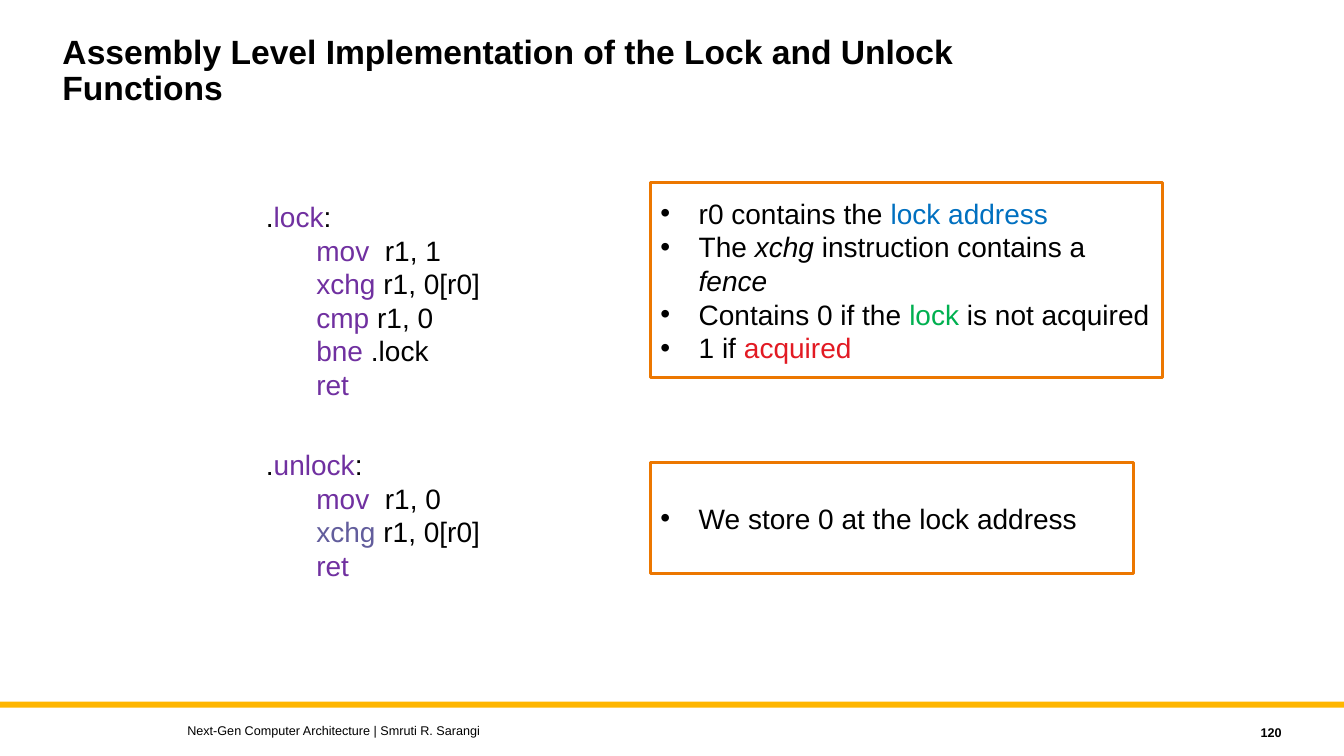
from pptx import Presentation
from pptx import util as u
from pptx.dml.color import RGBColor
from pptx.enum import shapes, text
from lxml import etree

theme = {
    "font": "Arial", "head": 24, "body": 20, "foot": 9, "edge": 2.25,
    "ink": "000000", "em": "000000", "paper": "FFFFFF", "bar": "FFB600",
    "frame": "EC7700", "code": "7030A0", "swap": "625D9C",
    "blue": "0070C0", "green": "00B050", "red": "E21A23",
}

deck = Presentation()
deck.slide_width, deck.slide_height = u.Inches(13.33), u.Inches(7.5)
slide = deck.slides.add_slide(deck.slide_layouts[5])
items = slide.shapes


def area(left, top, width, height):
    across, down = deck.slide_width / 100, deck.slide_height / 100
    return [int(n) for n in (left * across, top * down, width * across, height * down)]


def write(frame, lines, size, bold=False, bullet=False):
    frame.word_wrap = True
    frame.auto_size = text.MSO_AUTO_SIZE.NONE
    for row, line in enumerate(lines):
        para = frame.add_paragraph() if row else frame.paragraphs[0]
        para.alignment = text.PP_ALIGN.LEFT
        if bullet:
            props = para._p.get_or_add_pPr()
            props.set("marL", str(u.Inches(0.38)))
            props.set("indent", str(u.Inches(-0.38)))
            space = props.nsmap["a"]
            etree.SubElement(props, f"{{{space}}}buFont", typeface=theme["font"])
            etree.SubElement(props, f"{{{space}}}buChar", char="•")
        for words, tone in line:
            run = para.add_run()
            run.text = words
            run.font.name = theme["font"]
            run.font.size = u.Pt(theme[size])
            run.font.bold = bold
            run.font.italic = tone == "em"
            run.font.color.rgb = RGBColor.from_string(theme[tone])


bar = items.add_shape(shapes.MSO_SHAPE.RECTANGLE, *area(0, 92.8, 100, 0.8))
bar.shadow.inherit = False
bar.fill.solid()
bar.fill.fore_color.rgb = RGBColor.from_string(theme["bar"])
bar.line.fill.background()

title = items.title
title.left, title.top, title.width, title.height = area(3.9, 4, 75, 12)
title.text_frame.vertical_anchor = text.MSO_ANCHOR.TOP
write(title.text_frame,
      [[("Assembly Level Implementation of the Lock and Unlock Functions", "ink")]],
      "head", bold=True)
title.text_frame.paragraphs[0].line_spacing = 0.9

footer = items.add_textbox(*area(13.2, 94.93, 60, 3.33)).text_frame
write(footer, [[("Next-Gen Computer Architecture | Smruti R. Sarangi", "ink")]], "foot")
number = items.add_textbox(*area(85.6, 95.2, 10.5, 3.33)).text_frame
write(number, [[("120", "ink")]], "foot", bold=True)
number.paragraphs[0].alignment = text.PP_ALIGN.RIGHT
for frame in (footer, number):
    frame.vertical_anchor = text.MSO_ANCHOR.MIDDLE

codes = [
    (25.73, 28.27, "lock", [
        ("mov", "  r1, 1", "code"), ("xchg", " r1, 0[r0]", "code"),
        ("cmp", " r1, 0", "code"), ("bne", " .lock", "code"), ("ret", "", "code")]),
    (58.53, 23.73, "unlock", [
        ("mov", "  r1, 0", "code"), ("xchg", " r1, 0[r0]", "swap"),
        ("ret", "", "code")]),
]
for top, height, label, steps in codes:
    lines = [[(".", "ink"), (label, "code"), (":", "ink")]]
    for verb, args, tone in steps:
        line = [("\t", "ink"), (verb, tone)]
        if args:
            line.append((args, "ink"))
        lines.append(line)
    block = items.add_textbox(*area(19.05, top, 24.45, height))
    write(block.text_frame, lines, "body")

notes = [
    (24.13, 38.1, 25.87, [
        [("r0 contains the ", "ink"), ("lock address", "blue")],
        [("The ", "ink"), ("xchg", "em"), (" instruction contains a ", "ink"),
         ("fence", "em")],
        [("Contains 0 if the ", "ink"), ("lock", "green"), (" is not acquired", "ink")],
        [("1 if ", "ink"), ("acquired", "red")]]),
    (61.2, 35.93, 14.67, [[("We store 0 at the lock address", "ink")]]),
]
for top, width, height, lines in notes:
    note = items.add_shape(shapes.MSO_SHAPE.RECTANGLE, *area(48.4, top, width, height))
    note.shadow.inherit = False
    note.fill.solid()
    note.fill.fore_color.rgb = RGBColor.from_string(theme["paper"])
    note.line.color.rgb = RGBColor.from_string(theme["frame"])
    note.line.width = u.Pt(theme["edge"])
    note.text_frame.vertical_anchor = text.MSO_ANCHOR.MIDDLE
    write(note.text_frame, lines, "body", bullet=True)

deck.save("out.pptx")
